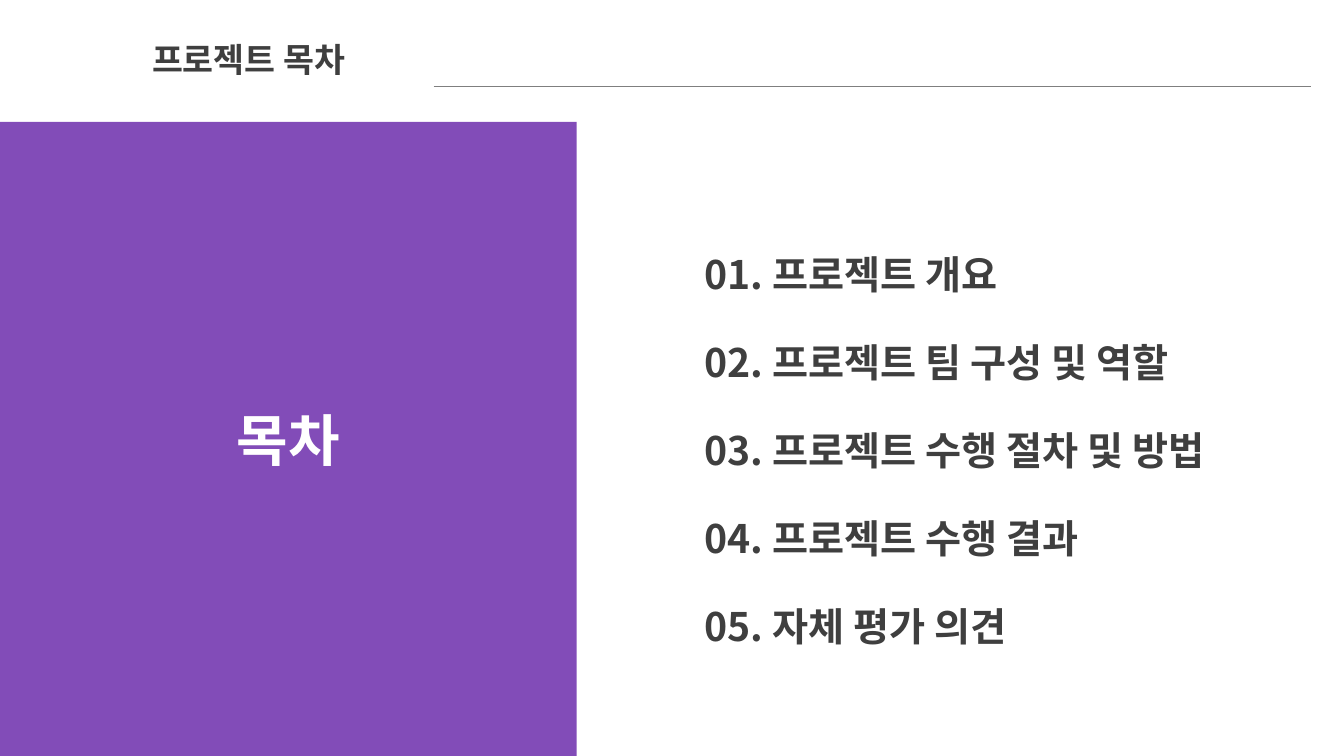
from dataclasses import dataclass

from lxml.etree import SubElement
from pptx import Presentation
from pptx.dml.color import RGBColor
from pptx.enum.shapes import MSO_CONNECTOR as Connector, MSO_SHAPE as Shape
from pptx.enum.text import MSO_ANCHOR as Anchor, MSO_AUTO_SIZE as AutoSize, PP_ALIGN as Align
from pptx.oxml.ns import qn
from pptx.util import Inches, Pt


@dataclass(frozen=True)
class Theme:
    font: str = "Noto Sans CJK KR"
    dark: str = "3F3F3F"
    white: str = "FFFFFF"
    rule: str = "7F7F7F"
    purple: str = "4D009A"
    panel_opacity: int = 70
    header_size: int = 24
    item_size: int = 28
    panel_size: int = 40


THEME = Theme()
AGENDA = [
    ("프로젝트 개요", 4.02),
    ("프로젝트 팀 구성 및 역할", 5.43),
    ("프로젝트 수행 절차 및 방법", 5.79),
    ("프로젝트 수행 결과", 4.9),
    ("자체 평가 의견", 3.5),
]
AGENDA_LEFT, AGENDA_TOP, AGENDA_STEP = 6.89, 2.48, 0.875


def write_text(text_frame, text, size, color):
    text_frame.text = text
    text_frame.word_wrap = True
    for run in text_frame.paragraphs[0].runs:
        run.font.name = THEME.font
        run.font.size = Pt(size)
        run.font.bold = True
        run.font.color.rgb = RGBColor.from_string(color)
        SubElement(run.font._element, qn("a:ea"), typeface=THEME.font)


def add_label(slide, text, left, top, width, height, size):
    box = slide.shapes.add_textbox(Inches(left), Inches(top), Inches(width), Inches(height))
    text_frame = box.text_frame
    write_text(text_frame, text, size, THEME.dark)
    text_frame.auto_size = AutoSize.SHAPE_TO_FIT_TEXT
    return text_frame


def add_agenda_item(slide, index, title, width):
    top = AGENDA_TOP + index * AGENDA_STEP
    text_frame = add_label(
        slide, f"{index + 1:02d}. {title}", AGENDA_LEFT, top, width, 0.47, THEME.item_size
    )
    text_frame.margin_top = text_frame.margin_bottom = 0


def add_panel(slide, text, left, top, width, height):
    panel = slide.shapes.add_shape(
        Shape.RECTANGLE, Inches(left), Inches(top), Inches(width), Inches(height)
    )
    panel.shadow.inherit = False
    panel.line.fill.background()
    panel.fill.solid()
    panel.fill.fore_color.rgb = RGBColor.from_string(THEME.purple)
    color = panel._element.spPr.find(qn("a:solidFill")).find(qn("a:srgbClr"))
    SubElement(color, qn("a:alpha"), val=str(THEME.panel_opacity * 1000))
    write_text(panel.text_frame, text, THEME.panel_size, THEME.white)
    panel.text_frame.vertical_anchor = Anchor.MIDDLE
    panel.text_frame.paragraphs[0].alignment = Align.CENTER


def add_rule(slide, left, right, y):
    rule = slide.shapes.add_connector(
        Connector.STRAIGHT, Inches(left), Inches(y), Inches(right), Inches(y)
    )
    rule.line.color.rgb = RGBColor.from_string(THEME.rule)
    rule.line.width = Pt(1)
    SubElement(rule._element.spPr, qn("a:effectLst"))


def main():
    presentation = Presentation()
    presentation.slide_width = Inches(13.33)
    presentation.slide_height = Inches(7.5)
    slide = presentation.slides.add_slide(presentation.slide_layouts[6])

    for index, (title, width) in enumerate(AGENDA):
        add_agenda_item(slide, index, title, width)
    add_panel(slide, "목차", 0, 1.21, 5.72, 6.29)
    add_rule(slide, 4.3, 13, 0.86)
    add_label(slide, "프로젝트 목차", 1.41, 0.34, 3.31, 0.5, THEME.header_size)

    presentation.save("out.pptx")


if __name__ == "__main__":
    main()
